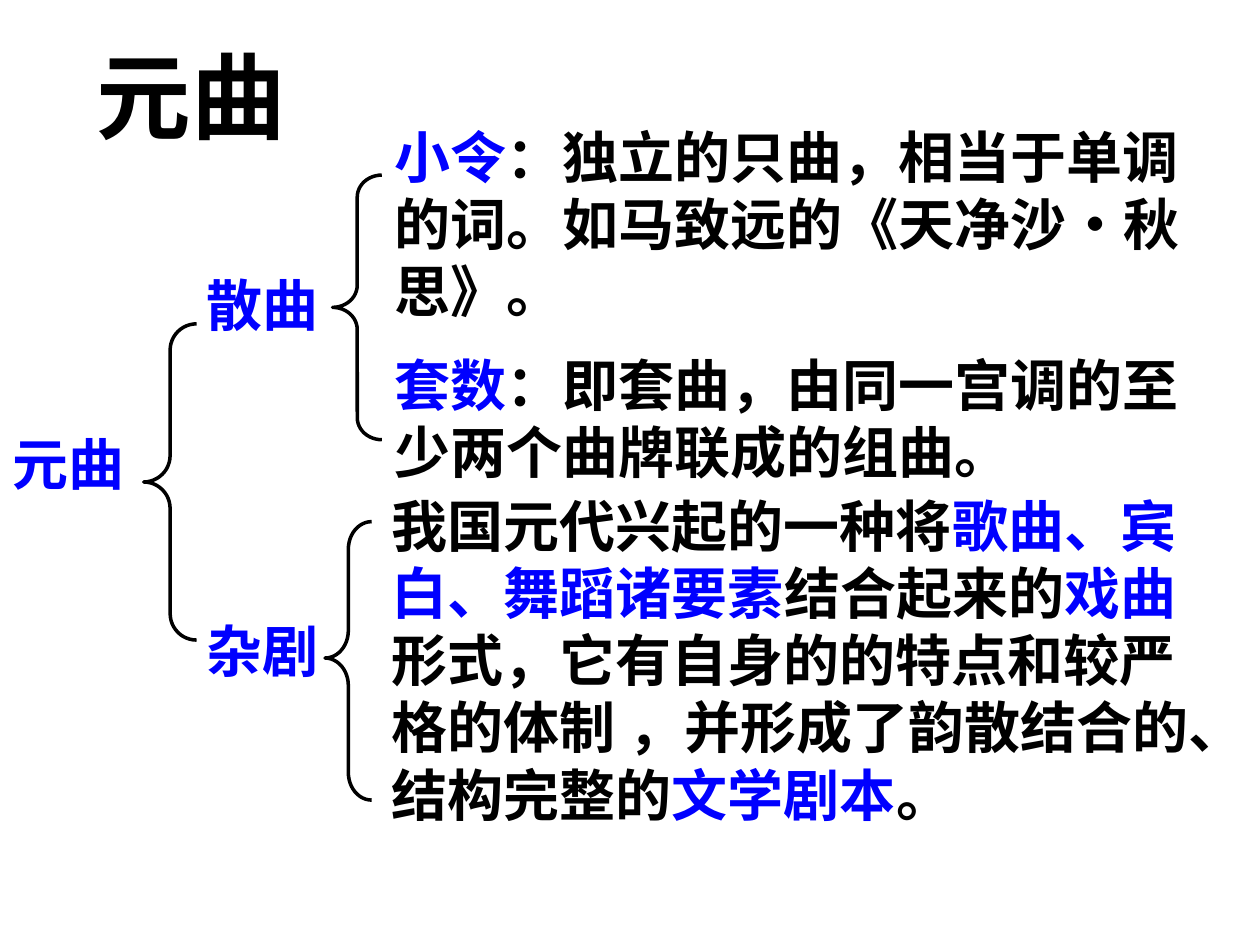
from pptx import Presentation
from pptx.dml.color import RGBColor
from pptx.enum.lang import MSO_LANGUAGE_ID as Lang
from pptx.enum.shapes import MSO_SHAPE as Shape
from pptx.util import Inches, Pt

BLUE, BLACK = "0000FF", "000000"


def color(code):
    return RGBColor.from_string(code)


class Board:
    """Holds the text style and the current slide."""

    style = {"bold": True, "language_id": Lang.SIMPLIFIED_CHINESE}

    def __init__(self, slide):
        self.slide = slide

    def text(self, place, runs, size=32, face="Arial", wrap=True):
        box = self.slide.shapes.add_textbox(*map(Inches, place))
        frame = box.text_frame
        frame.word_wrap = wrap
        para = frame.paragraphs[0]
        for words, code, *other in runs:
            run = para.add_run()
            run.text = words
            look = {**self.style, "size": Pt(size), "name": other[0] if other else face}
            for key, value in look.items():
                setattr(run.font, key, value)
            run.font.color.rgb = color(code)

    def brace(self, place, curve, point=0.5):
        shape = self.slide.shapes.add_shape(Shape.LEFT_BRACE, *map(Inches, place))
        shape.shadow.inherit = False
        shape.fill.background()
        shape.line.color.rgb = color(BLACK)
        shape.line.width = Pt(2)
        shape.adjustments[0] = curve
        shape.adjustments[1] = point


def main():
    deck = Presentation()
    deck.slide_width, deck.slide_height = Inches(10), Inches(7.5)
    board = Board(deck.slides.add_slide(deck.slide_layouts[6]))

    board.text((0.67, 0.25, 4.41, 1), [("元曲", BLACK)], 54, "Noto Sans CJK JP")
    board.text((0, 3.36, 1.17, 0.64), [("元曲", BLUE)])
    for name, top in (("散曲", 2.1), ("杂剧", 4.84)):
        board.text((1.54, top, 1.09, 0.64), [(name, BLUE)], wrap=False)

    board.brace((1.14, 2.57, 0.42, 2.51), 0.5)
    board.brace((2.64, 1.39, 0.39, 2.1), 0.45)
    board.brace((2.58, 4.14, 0.37, 2.21), 0.59, 0.49)

    board.text((3.03, 0.92, 6.48, 1.7), [
        ("小令", BLUE),
        ("：独立的只曲，相当于单调的词。如马致远的《天净沙", BLACK),
        ("·", BLACK, "Noto Sans CJK SC"),
        ("秋思》。", BLACK),
    ])
    board.text((3.03, 2.73, 6.68, 1.17), [
        ("套数", BLUE),
        ("：即套曲，由同一宫调的至少两个曲牌联成的组曲。", BLACK),
    ])
    board.text((3.01, 3.85, 6.76, 2.77), [
        ("我国元代兴起的一种将", BLACK),
        ("歌曲、宾白、舞蹈诸要素", BLUE),
        ("结合起来的", BLACK),
        ("戏曲", BLUE),
        ("形式，它有自身的的特点和较严格的体制 ，并形成了韵散结合的、结构完整的", BLACK),
        ("文学剧本", BLUE),
        ("。", BLACK),
    ])
    deck.save("out.pptx")


if __name__ == "__main__":
    main()
